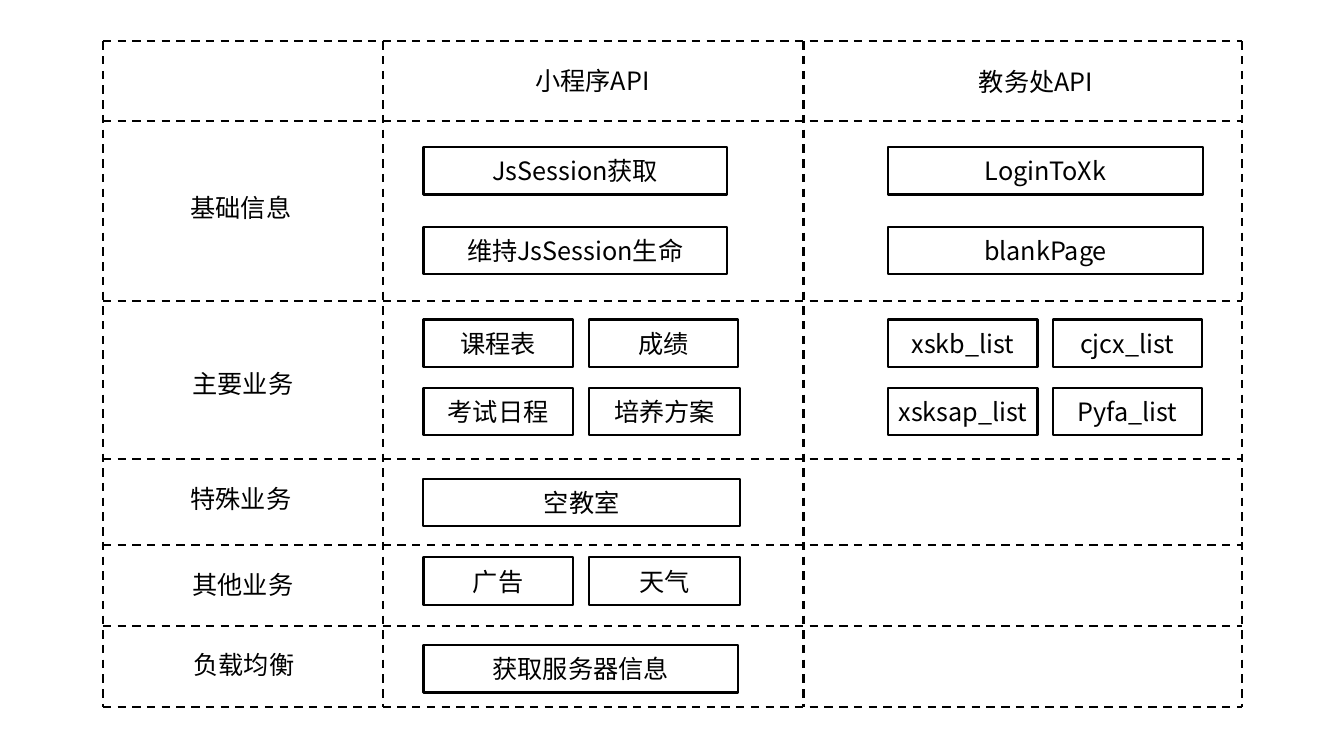
"""Draw a dashed grid that maps mini-program APIs to school office APIs."""
from lxml import etree
from pptx import Presentation
from pptx.dml.color import RGBColor
from pptx.enum import dml, shapes, text
from pptx.oxml.ns import qn
from pptx.util import Inches, Pt

FONT, INK = "Noto Sans CJK SC", "000000"
COLS = [1.02, 3.8, 7.97, 12.32]
ROWS = [0.41, 1.2, 2.99, 4.55, 5.41, 6.21, 7.01]
HIGH, TALL = 0.47, 0.53

HEADS = [("小程序API", 5.08, 0.53), ("教务处API", 9.48, 0.54)]
SIDES = [
    ("基础信息", 1.77, 1.79),
    ("主要业务", 1.79, 3.54),
    ("特殊业务", 1.77, 4.68),
    ("其他业务", 1.79, 5.53),
    ("负载均衡", 1.8, 6.33),
]
LEFT, RIGHT = (4.2, 5.84), (8.81, 10.44)
BOXES = [
    (LEFT, 1.46, [("JsSession获取", 3.01)]),
    (LEFT, 2.25, [("维持JsSession生命", 3.01)]),
    (LEFT, 3.17, [("课程表", 1.48), ("成绩", 1.48)]),
    (LEFT, 3.85, [("考试日程", 1.48), ("培养方案", 1.5)]),
    (LEFT, 4.75, [("空教室", 3.14)]),
    (LEFT, 5.53, [("广告", 1.48), ("天气", 1.5)]),
    (LEFT, 6.4, [("获取服务器信息", 3.12)]),
    (RIGHT, 1.46, [("LoginToXk", 3.12)]),
    (RIGHT, 2.25, [("blankPage", 3.12)]),
    (RIGHT, 3.17, [("xskb_list", 1.48), ("cjcx_list", 1.48)]),
    (RIGHT, 3.85, [("xsksap_list", 1.48), ("Pyfa_list", 1.48)]),
]


def paint(part, color):
    part.rgb = RGBColor.from_string(color)


def write(shape, words):
    frame = shape.text_frame
    frame.text = words
    frame.word_wrap = True
    frame.vertical_anchor = text.MSO_ANCHOR.MIDDLE
    frame.margin_left = frame.margin_right = 0
    frame.margin_top = frame.margin_bottom = 0
    para = frame.paragraphs[0]
    para.alignment = text.PP_ALIGN.CENTER
    font = para.runs[0].font
    font.size = Pt(18)
    font.name = FONT
    paint(font.color, INK)
    east = etree.SubElement(para.runs[0]._r.get_or_add_rPr(), qn("a:ea"))
    east.set("typeface", FONT)


def label(slide, words, left, top, wide):
    area = [Inches(n) for n in (left, top, wide, TALL)]
    write(slide.shapes.add_textbox(*area), words)


def box(slide, words, left, top, wide):
    area = [Inches(n) for n in (left, top, wide, HIGH)]
    shape = slide.shapes.add_shape(shapes.MSO_SHAPE.FLOWCHART_PROCESS, *area)
    shape.shadow.inherit = False
    shape.fill.background()
    paint(shape.line.color, INK)
    shape.line.width = Pt(1.5)
    write(shape, words)


def rule(slide, *ends):
    kind = shapes.MSO_CONNECTOR.STRAIGHT
    line = slide.shapes.add_connector(kind, *[Inches(n) for n in ends])
    paint(line.line.color, INK)
    line.line.width = Pt(1.5)
    line.line.dash_style = dml.MSO_LINE.DASH
    etree.SubElement(line._element.spPr, qn("a:effectLst"))


def main():
    deck = Presentation()
    deck.slide_width, deck.slide_height = Inches(13.33), Inches(7.5)
    slide = deck.slides.add_slide(deck.slide_layouts[6])
    for lefts, top, items in BOXES:
        for left, (words, wide) in zip(lefts, items):
            box(slide, words, left, top, wide)
    for y in ROWS:
        rule(slide, COLS[0], y, COLS[-1], y)
    for x in COLS:
        rule(slide, x, ROWS[0], x, ROWS[-1])
    for group, wide in ((HEADS, 1.59), (SIDES, 1.24)):
        for words, left, top in group:
            label(slide, words, left, top, wide)
    deck.save("out.pptx")


if __name__ == "__main__":
    main()
